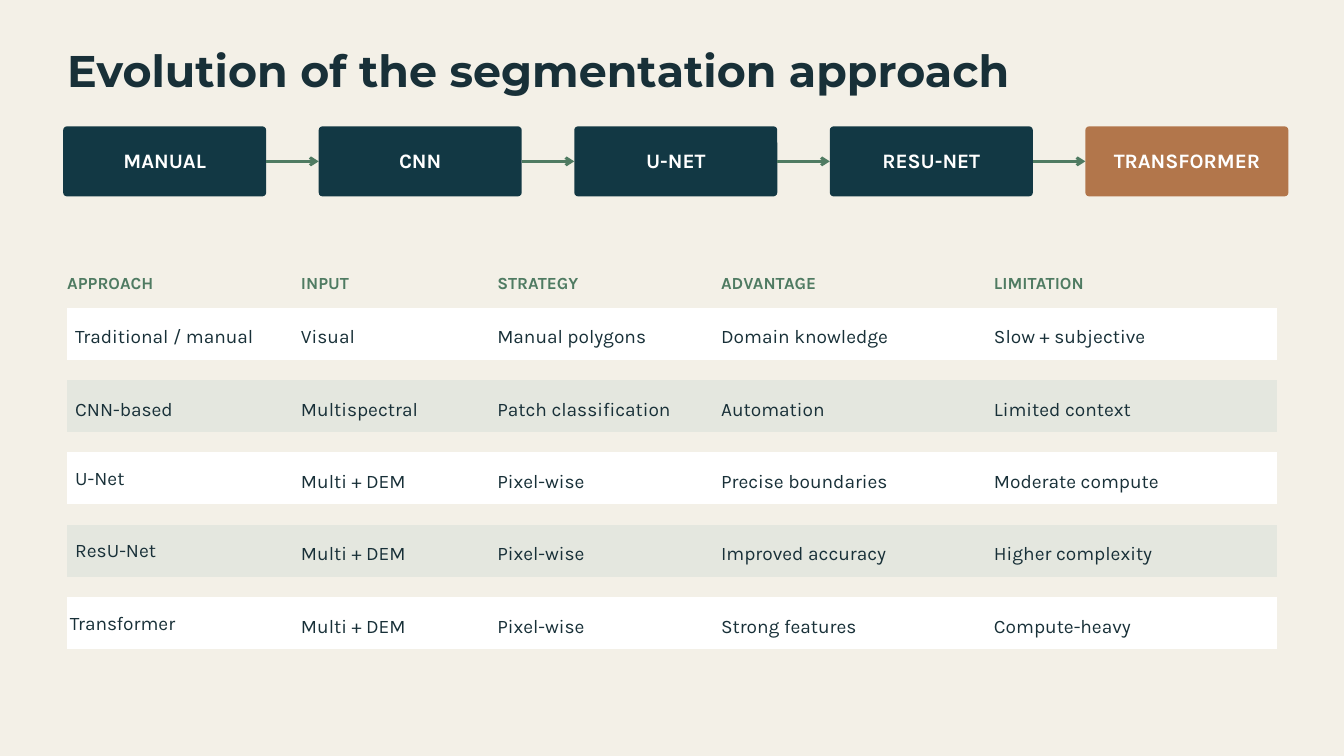
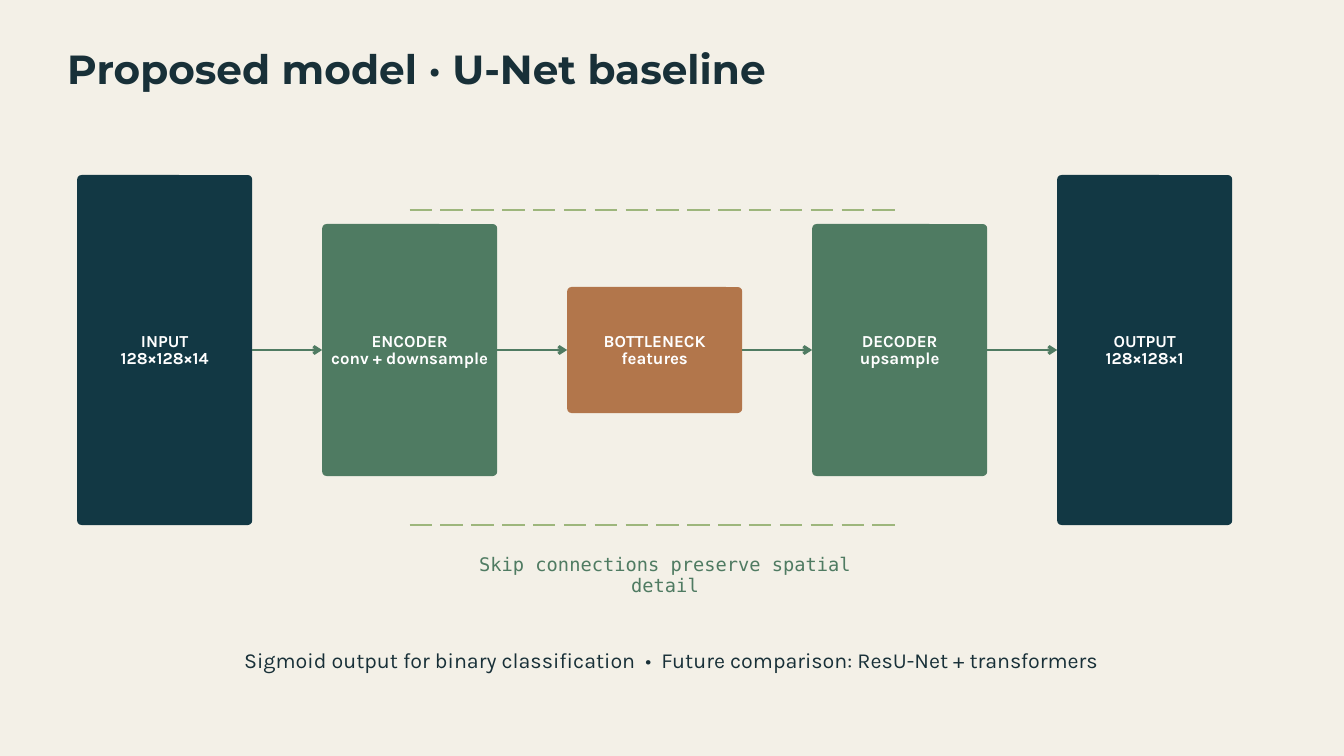
"""Build two slides on segmentation approaches and the proposed U-Net baseline."""
from pptx import Presentation
from pptx.dml.color import RGBColor
from pptx.enum.dml import MSO_LINE
from pptx.enum.shapes import MSO_CONNECTOR, MSO_SHAPE
from pptx.enum.text import MSO_ANCHOR, MSO_AUTO_SIZE, PP_ALIGN
from pptx.oxml.ns import qn
from pptx.util import Pt
from lxml import etree

LEFT, CENTER = PP_ALIGN.LEFT, PP_ALIGN.CENTER
TOP, MIDDLE = MSO_ANCHOR.TOP, MSO_ANCHOR.MIDDLE
NO_FIT = MSO_AUTO_SIZE.NONE
ROUNDED, STRAIGHT = MSO_SHAPE.ROUNDED_RECTANGLE, MSO_CONNECTOR.STRAIGHT
LONG_DASH = MSO_LINE.LONG_DASH
NO_GRID = "{2D5ABB26-0587-4C30-8999-92F81FD0307C}"

CREAM, INK, NAVY, GREEN = "F3F0E7", "183038", "123844", "4F7B62"
COPPER, LEAF, WHITE, MIST = "B2764B", "9DB67C", "FFFFFF", "E4E7DF"


def write(tf, text, size, color, font="Karla", bold=False, align=LEFT, leading=1.05):
    """Put text into a frame, one paragraph a line, with exact line spacing."""
    for i, line in enumerate(text.split("\n")):
        p = tf.add_paragraph() if i else tf.paragraphs[0]
        p.alignment = align
        p.line_spacing = Pt(size * leading)
        p.space_before = p.space_after = Pt(0)
        r = p.add_run()
        r.text = line
        r.font.name, r.font.size, r.font.bold = font, Pt(size), bold
        r.font.color.rgb = RGBColor.from_string(color)


def connect(s, x1, x2, y, color):
    """Add a horizontal line without shadow and return it."""
    line = s.shapes.add_connector(STRAIGHT, Pt(x1), Pt(y), Pt(x2), Pt(y))
    line.line.color.rgb = RGBColor.from_string(color)
    line.line.width = Pt(3)
    etree.SubElement(line._element.spPr, qn("a:effectLst"))
    return line


prs = Presentation()
prs.slide_width, prs.slide_height = Pt(1440), Pt(810)
bg = prs.slide_master.background.fill
bg.solid()
bg.fore_color.rgb = RGBColor.from_string(CREAM)

flows = [
    dict(title="Evolution of the segmentation approach", title_size=47.5,
         x=67.7, pitch=273.8, width=217.5, middle=172.9, size=22, radius=4,
         boxes=[("MANUAL", 75, NAVY), ("CNN", 75, NAVY), ("U-NET", 75, NAVY),
                ("RESU-NET", 75, NAVY), ("TRANSFORMER", 75, COPPER)]),
    dict(title="Proposed model · U-Net baseline", title_size=43.5,
         x=82.7, pitch=262.5, width=187.5, middle=375, size=18, radius=4.7,
         boxes=[("INPUT\n128×128×14", 375, NAVY),
                ("ENCODER\nconv + downsample", 270, GREEN),
                ("BOTTLENECK\nfeatures", 135, COPPER),
                ("DECODER\nupsample", 270, GREEN),
                ("OUTPUT\n128×128×1", 375, NAVY)]),
]

for flow in flows:
    s = prs.slides.add_slide(prs.slide_layouts[5])
    title = s.shapes.title
    title.left, title.top, title.width, title.height = Pt(72), Pt(53.3), Pt(1296), Pt(51)
    tf = title.text_frame
    tf.auto_size, tf.word_wrap, tf.vertical_anchor = NO_FIT, True, TOP
    tf.margin_left = tf.margin_right = tf.margin_top = tf.margin_bottom = 0
    write(tf, flow["title"], flow["title_size"], INK, font="Montserrat", bold=True)

    width, middle = flow["width"], flow["middle"]
    for i, (label, height, color) in enumerate(flow["boxes"]):
        x = flow["x"] + i * flow["pitch"]
        box = s.shapes.add_shape(ROUNDED, Pt(x), Pt(middle - height / 2), Pt(width), Pt(height))
        box.adjustments[0] = flow["radius"] / min(width, height)
        box.shadow.inherit = False
        box.fill.solid()
        box.fill.fore_color.rgb = RGBColor.from_string(color)
        box.line.fill.background()
        tf = box.text_frame
        tf.word_wrap, tf.vertical_anchor = True, MIDDLE
        tf.margin_left = tf.margin_right = tf.margin_bottom = Pt(4.5)
        tf.margin_top = Pt(6)
        write(tf, label, flow["size"], WHITE, bold=True, align=CENTER)
        if i:
            arrow = connect(s, x - flow["pitch"] + width, x, middle, GREEN)
            ln = arrow.line._get_or_add_ln()
            etree.SubElement(ln, qn("a:tailEnd"), type="arrow")

evolution, model = prs.slides

header = ["APPROACH", "INPUT", "STRATEGY", "ADVANTAGE", "LIMITATION"]
approaches = [
    ["Traditional / manual", "Visual", "Manual polygons", "Domain knowledge", "Slow + subjective"],
    ["CNN-based", "Multispectral", "Patch classification", "Automation", "Limited context"],
    ["U-Net", "Multi + DEM", "Pixel-wise", "Precise boundaries", "Moderate compute"],
    ["ResU-Net", "Multi + DEM", "Pixel-wise", "Improved accuracy", "Higher complexity"],
    ["Transformer", "Multi + DEM", "Pixel-wise", "Strong features", "Compute-heavy"],
]
name_offsets = [(8.6, 18), (8.6, 18), (8.6, 15), (8.6, 15), (3, 15)]
edges = [72, 322.5, 532.8, 772.6, 1065, 1368]
row_count = 2 * len(approaches)
frame = evolution.shapes.add_table(row_count, len(header), Pt(72), Pt(289.4), Pt(1296), Pt(402))
next(frame._element.iter(qn("a:tableStyleId"))).text = NO_GRID
table = frame.table
table.first_row = table.horz_banding = False
for col, left, right in zip(table.columns, edges, edges[1:]):
    col.width = Pt(right - left)

for i, row in enumerate(table.rows):
    band, is_band = i // 2, i % 2 == 1
    row.height = Pt(55.5 if is_band else 21 if i else 40.5)
    for j, cell in enumerate(row.cells):
        cell.margin_left = cell.margin_right = cell.margin_top = cell.margin_bottom = 0
        cell.vertical_anchor = TOP
        if is_band:
            cell.fill.solid()
            cell.fill.fore_color.rgb = RGBColor.from_string(MIST if band % 2 else WHITE)
            left, top = (0, 18) if j else name_offsets[band]
            cell.margin_left, cell.margin_top = Pt(left), Pt(top)
            write(cell.text_frame, approaches[band][j], 20.5, INK, leading=1.25)
        else:
            cell.fill.background()
            if i:
                cell.text_frame.paragraphs[0].line_spacing = Pt(10)
            else:
                write(cell.text_frame, header[j], 18.2, GREEN, bold=True, leading=1.4)

for y in (225, 562.5):
    skip = connect(model, 438.9, 964, y, LEAF)
    skip.line.dash_style = LONG_DASH

captions = [
    ("Skip connections preserve spatial detail", 487.5, 594.7, 450, 44,
     dict(size=20, color=GREEN, font="DejaVu Sans Mono", leading=1.1)),
    ("Sigmoid output for binary classification  •  Future comparison: ResU-Net + transformers",
     217.5, 692.6, 1005, 28, dict(size=23, color=INK, leading=1.25)),
]
for text, x, y, width, height, style in captions:
    tf = model.shapes.add_textbox(Pt(x), Pt(y), Pt(width), Pt(height)).text_frame
    tf.word_wrap = True
    tf.margin_left = tf.margin_right = tf.margin_top = tf.margin_bottom = 0
    write(tf, text, align=CENTER, **style)

prs.save("out.pptx")
